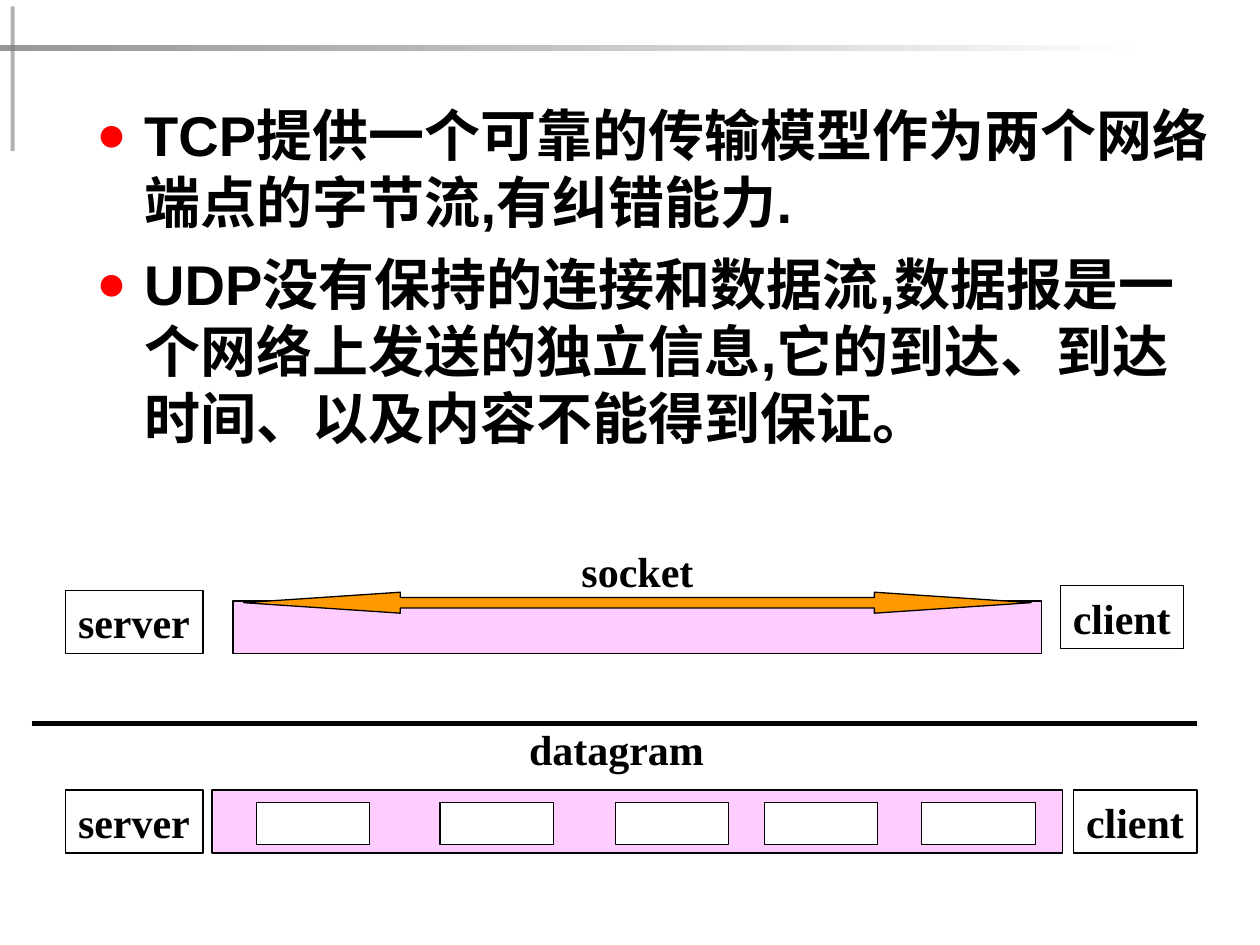
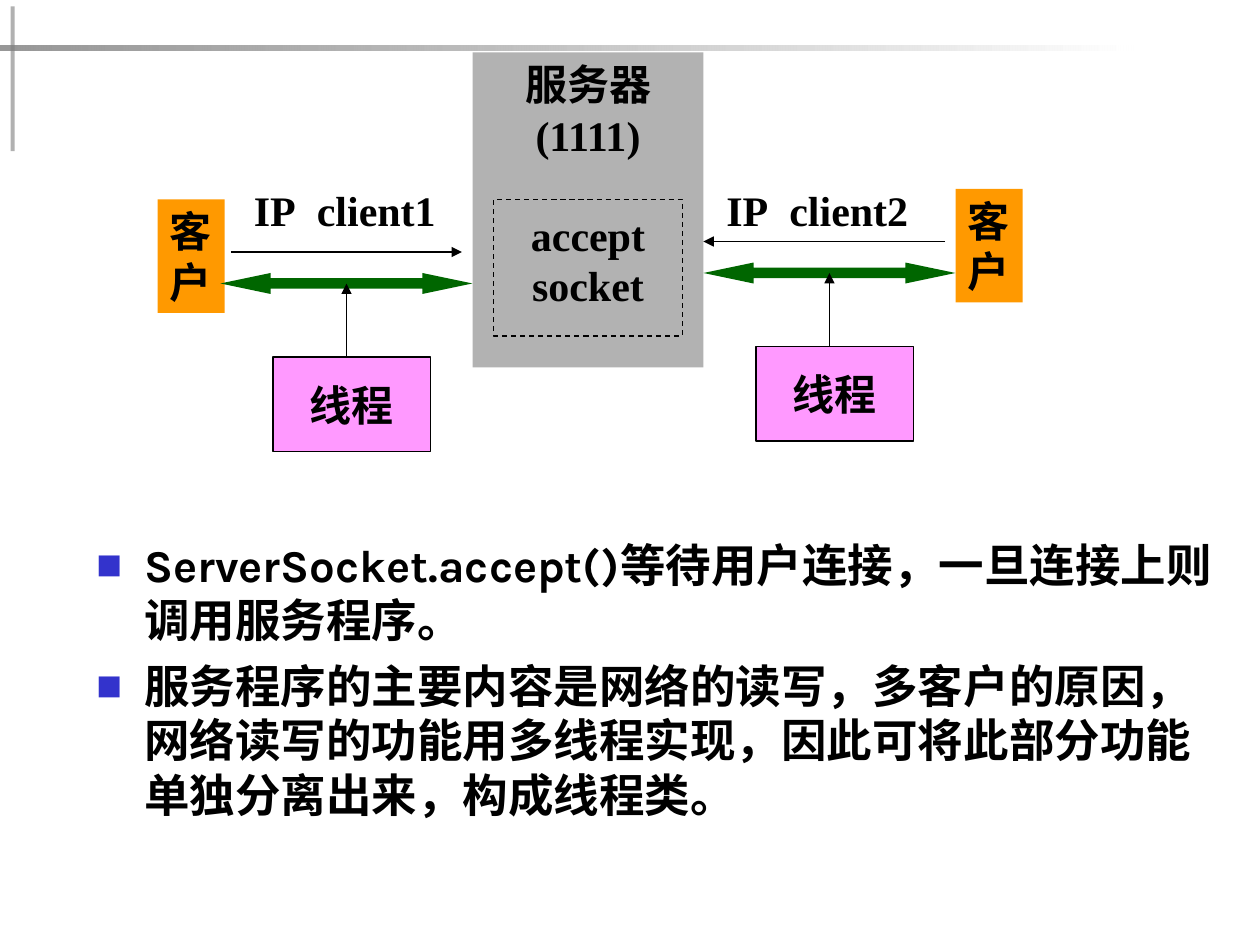
from dataclasses import dataclass

from lxml import etree
from pptx import Presentation
from pptx import util as u
from pptx.dml import color as c
from pptx.enum import dml, shapes, text
from pptx.oxml import ns

COLUMNS, ROWS = 120, 90
CELL = u.Inches(10) / COLUMNS


@dataclass(frozen=True)
class Theme:
    """Colours, fonts and type sizes shared by the slides."""
    ink: str = "000000"
    paper: str = "FFFFFF"
    upright: str = "1C1C1C"
    band: str = "808080"
    red: str = "FF0000"
    blue: str = "3333CC"
    channel: str = "FFCCFF"
    thread: str = "FF99FF"
    orange: str = "FF9900"
    green: str = "006600"
    server: str = "B2B2B2"
    label_font: str = "Times New Roman"
    label_size: float = 24
    hairline: float = 0.75
    rule: float = 3


THEME = Theme()


@dataclass(frozen=True)
class BulletStyle:
    """Look of one bulleted list."""
    mark: str
    colour: str
    percent: int
    font: str
    size: float
    gap: float


DISCS = BulletStyle("●", THEME.red, 90, "Arial", 32, 8)
SQUARES = BulletStyle("■", THEME.blue, 60, "Karla", 26, 6.5)


def cells(*counts):
    """Turn counts of grid cells into lengths."""
    return [u.Emu(round(count * CELL)) for count in counts]


def rgb(value):
    """Make a colour from its hex digits."""
    return c.RGBColor.from_string(value)


def child(parent, tag, **attributes):
    """Append a drawing element with attributes."""
    return etree.SubElement(parent, ns.qn(tag), attributes)


def fade(shape, percent):
    """Make the first colour of a shape's fill partly transparent."""
    colour = shape.element.spPr.findall(".//" + ns.qn("a:srgbClr"))[0]
    child(colour, "a:alpha", val=str(percent * 1000))


def add_box(slide, area, fill=None, outline=True, kind=shapes.MSO_SHAPE.RECTANGLE):
    """Draw a preset shape on the grid."""
    shape = slide.shapes.add_shape(kind, *cells(*area))
    shape.shadow.inherit = False
    if fill:
        shape.fill.solid()
        shape.fill.fore_color.rgb = rgb(fill)
    else:
        shape.fill.background()
    if outline:
        shape.line.color.rgb = rgb(THEME.ink)
        shape.line.width = u.Pt(THEME.hairline)
    else:
        shape.line.fill.background()
    return shape


def add_double_arrow(slide, area, fill, head, outline=False):
    """Draw a two-headed block arrow with long heads."""
    arrow = add_box(slide, area, fill, outline, shapes.MSO_SHAPE.LEFT_RIGHT_ARROW)
    arrow.adjustments[0] = 0.5
    arrow.adjustments[1] = head


def add_line(slide, start, end, width=THEME.hairline, arrowhead=False):
    """Draw a straight line between two grid points."""
    line = slide.shapes.add_connector(shapes.MSO_CONNECTOR.STRAIGHT, *cells(*start, *end))
    line.line.color.rgb = rgb(THEME.ink)
    line.line.width = u.Pt(width)
    if arrowhead:
        child(line.line._get_or_add_ln(), "a:tailEnd", type="triangle")
    child(line.element.spPr, "a:effectLst")


def add_run(paragraph, words, font=THEME.label_font, size=THEME.label_size):
    """Add one bold run to a paragraph."""
    run = paragraph.add_run()
    run.text = words
    run.font.name = font
    run.font.size = u.Pt(size)
    run.font.bold = True
    run.font.color.rgb = rgb(THEME.ink)
    return run


def write_lines(shape, lines, align=text.PP_ALIGN.LEFT, anchor=text.MSO_ANCHOR.TOP):
    """Write label lines into a shape and give back their paragraphs."""
    frame = shape.text_frame
    frame.word_wrap = False
    frame.vertical_anchor = anchor
    for index, line in enumerate(lines):
        paragraph = frame.add_paragraph() if index else frame.paragraphs[0]
        paragraph.alignment = align
        add_run(paragraph, line)
    return frame.paragraphs


def add_label(slide, area, words):
    """Add a free label of one line."""
    write_lines(slide.shapes.add_textbox(*cells(*area)), [words])


def add_address(slide, left, top, name):
    """Add an IP label with a widened gap before the name."""
    label = slide.shapes.add_textbox(*cells(left, top, 19.7, 6))
    paragraph, = write_lines(label, ["IP"])
    gap = add_run(paragraph, " ")
    gap._r.get_or_add_rPr().set("spc", "600")
    add_run(paragraph, name)


def add_bullets(slide, area, items, style):
    """Add a bulleted list with hanging indents."""
    frame = slide.shapes.add_textbox(*cells(*area)).text_frame
    frame.word_wrap = True
    for index, item in enumerate(items):
        paragraph = frame.add_paragraph() if index else frame.paragraphs[0]
        if index:
            paragraph.space_before = u.Pt(style.gap)
        properties = paragraph._p.get_or_add_pPr()
        indent = u.Inches(0.38)
        properties.set("marL", str(indent))
        properties.set("indent", str(-indent))
        child(child(properties, "a:buClr"), "a:srgbClr", val=style.colour)
        child(properties, "a:buSzPct", val=str(style.percent * 1000))
        child(properties, "a:buFont", typeface=style.font)
        child(properties, "a:buChar", char=style.mark)
        add_run(paragraph, item, style.font, style.size)


def add_framed_slide(presentation):
    """Add a blank slide with the upright bar and the fading band."""
    slide = presentation.slides.add_slide(presentation.slide_layouts[6])
    upright = add_box(slide, (1, 0.6, 0.4, 13.8), THEME.upright, False)
    fade(upright, 34)
    band = add_box(slide, (0, 4.3, 108, 0.5), THEME.band, False)
    band.fill.gradient()
    band.fill.gradient_angle = 0
    for stop, colour in zip(band.fill.gradient_stops, (THEME.band, THEME.paper)):
        stop.color.rgb = rgb(colour)
    fade(band, 81)
    return slide


def add_endpoints(slide, server_top, client_left, client_top):
    """Add the server and client boxes of one connection."""
    server = add_box(slide, (6.25, server_top, 13.1, 6), THEME.paper)
    write_lines(server, ["server"])
    client = add_box(slide, (client_left, client_top, 11.75, 6))
    write_lines(client, ["client"])


def add_protocol_slide(presentation):
    """Compare the TCP stream with UDP datagrams."""
    slide = add_framed_slide(presentation)
    add_bullets(slide, (8, 9, 109, 70), [
        "TCP提供一个可靠的传输模型作为两个网络端点的字节流,有纠错能力.",
        "UDP没有保持的连接和数据流,数据报是一个网络上发送的独立信息,"
        "它的到达、到达时间、以及内容不能得到保证。",
    ], DISCS)
    add_box(slide, (22.2, 57.25, 77, 5), THEME.channel)
    add_label(slide, (54.2, 51.4, 13.1, 6), "socket")
    add_double_arrow(slide, (23.2, 56.4, 75, 2), THEME.orange, 7.47, True)
    add_endpoints(slide, 56.25, 101, 55.8)

    add_line(slide, (3, 68.9), (114, 68.9), THEME.rule)
    add_label(slide, (49.2, 68.3, 19.1, 6), "datagram")
    add_box(slide, (20.2, 75.25, 81, 6), THEME.channel)
    for left in (24.4, 41.9, 58.6, 72.8, 87.8):
        add_box(slide, (left, 76.4, 10.8, 4), THEME.paper)
    add_endpoints(slide, 75.25, 102.25, 75.25)


def add_client_link(slide, left, top, customer_left, request, name, name_left):
    """Add a customer, its request arrow and the thread serving it."""
    customer = add_box(slide, (customer_left, top - 7, 6.4, 10.8), THEME.orange, False)
    write_lines(customer, ["客", "户"])
    start, end = request
    add_line(slide, (start, top - 2), (end, top - 2), arrowhead=True)
    add_address(slide, name_left, 17, name)
    add_double_arrow(slide, (left, top, 24, 2), THEME.green, 2.39)
    add_line(slide, (left + 12, top + 9), (left + 12, top + 1), arrowhead=True)
    thread = add_box(slide, (left + 5, top + 8, 15, 9), THEME.thread)
    write_lines(thread, ["线程"], text.PP_ALIGN.CENTER, text.MSO_ANCHOR.MIDDLE)


def add_server_slide(presentation):
    """Show one server handing each client to a thread."""
    slide = add_framed_slide(presentation)
    add_bullets(slide, (8, 50.6, 109.4, 29.8), [
        "ServerSocket.accept()等待用户连接，一旦连接上则调用服务程序。",
        "服务程序的主要内容是网络的读写，多客户的原因，网络读写的功能用多线程实现，"
        "因此可将此部分功能单独分离出来，构成线程类。",
    ], SQUARES)
    server = add_box(slide, (45, 5, 22, 30), THEME.server, False)
    lines = write_lines(server, ["服务器", "(1111)", "accept", "socket"],
                        text.PP_ALIGN.CENTER)
    lines[2].space_before = u.Pt(28.5)
    listener = add_box(slide, (47, 19, 18, 13))
    listener.line.dash_style = dml.MSO_LINE.DASH
    add_client_link(slide, 21, 26, 15, (22, 44), "client1", 23)
    add_client_link(slide, 67, 25, 91, (90, 67), "client2", 68)


def main():
    """Build and save the presentation."""
    presentation = Presentation()
    presentation.slide_width, presentation.slide_height = cells(COLUMNS, ROWS)
    add_protocol_slide(presentation)
    add_server_slide(presentation)
    presentation.save("out.pptx")


if __name__ == "__main__":
    main()
